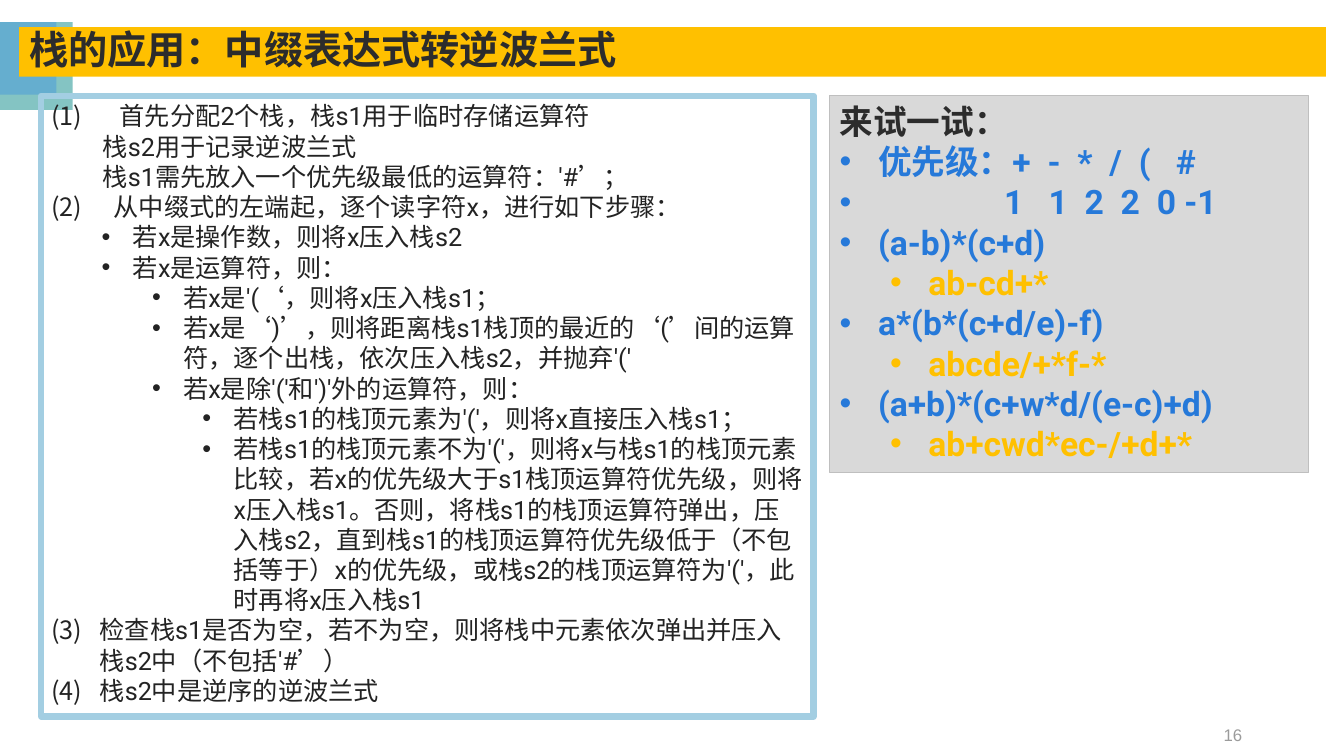
from dataclasses import dataclass

import lxml.etree
import pptx
import pptx.dml.color
import pptx.enum.shapes
import pptx.enum.text
import pptx.oxml.ns
import pptx.util

PX = 9144  # 100 px to the inch
INK, DARK, BLUE, GOLD = "232323", "2C2C2C", "2679D9", "FFC000"
SPACE_UNIT = 600  # width of one 24 pt space, in hundredths of a point
ALIGN = pptx.enum.text.PP_ALIGN
ANCHOR = pptx.enum.text.MSO_ANCHOR


@dataclass
class Panel:
    left: int
    top: int
    width: int
    height: int
    fill: str = ""
    line: str = ""
    line_width: float = 0


@dataclass
class Line:
    text: str
    level: int = 0
    margin: int = 0
    hanging: int = 0
    bullet: str = ""
    number: int = 0
    color: str = INK
    gaps: tuple[int, ...] = ()  # width of each space, in plain spaces


def rgb(color: str) -> pptx.dml.color.RGBColor:
    return pptx.dml.color.RGBColor.from_string(color)


def add_child(parent, tag: str, **attributes: str):
    child = lxml.etree.SubElement(parent, pptx.oxml.ns.qn(tag))
    for name, value in attributes.items():
        child.set(name, value)
    return child


def place(shape, panel: Panel) -> None:
    shape.left, shape.top = panel.left * PX, panel.top * PX
    shape.width, shape.height = panel.width * PX, panel.height * PX


def paint(shape, panel: Panel) -> None:
    if panel.fill:
        shape.fill.solid()
        shape.fill.fore_color.rgb = rgb(panel.fill)
    else:
        shape.fill.background()
    if panel.line:
        shape.line.color.rgb = rgb(panel.line)
        shape.line.width = pptx.util.Pt(panel.line_width)
    else:
        shape.line.fill.background()


def add_panel(page, panel: Panel):
    box = page.shapes.add_shape(pptx.enum.shapes.MSO_SHAPE.RECTANGLE, 0, 0, 0, 0)
    place(box, panel)
    paint(box, panel)
    box.shadow.inherit = False
    return box


def style(span, font: str, size: int, color: str, bold: bool = False,
          outlined: bool = False) -> None:
    span.font.name, span.font.size = font, pptx.util.Pt(size)
    span.font.bold = bold
    span.font.color.rgb = rgb(color)
    properties = span.font._element
    properties.set("lang", "zh-CN")
    if outlined:
        outline = add_child(properties, "a:ln", w="9525")
        add_child(add_child(outline, "a:solidFill"), "a:srgbClr", val=color)
        properties.insert(0, outline)


def format_indent(para, line: Line) -> None:
    para.alignment = ALIGN.LEFT
    para.level = line.level
    properties = para._p.get_or_add_pPr()
    properties.set("marL", str(line.margin * PX))
    properties.set("indent", str(-line.hanging * PX))
    if line.number:
        add_child(properties, "a:buFont", typeface="Roboto")
        add_child(properties, "a:buAutoNum", type="arabicParenBoth",
                  startAt=str(line.number))
    elif line.bullet:
        add_child(properties, "a:buFont", typeface="Arial")
        add_child(properties, "a:buChar", char=line.bullet)
    else:
        add_child(properties, "a:buNone")


def write_lines(box, lines: list[Line], size: int, strong: bool = False) -> None:
    frame = box.text_frame
    frame.word_wrap = True
    frame.auto_size = pptx.enum.text.MSO_AUTO_SIZE.SHAPE_TO_FIT_TEXT
    frame.vertical_anchor = ANCHOR.TOP
    for index, line in enumerate(lines):
        para = frame.add_paragraph() if index else frame.paragraphs[0]
        format_indent(para, line)
        if line.gaps:
            words = line.text.split(" ")
            para.add_run().text = words[0]
            for word, gap in zip(words[1:], line.gaps):
                space = para.add_run()
                space.text = " "
                space.font._element.set("spc", str(SPACE_UNIT * (gap - 1)))
                para.add_run().text = word
        else:
            para.text = line.text
        for span in para.runs:
            style(span, "Roboto", size, line.color, strong, strong)


def step(text: str, number: int, margin: int) -> Line:
    return Line(text, margin=margin, hanging=margin, number=number)


def rule(text: str, level: int) -> Line:
    return Line(text, level, 31 + 50 * level, 31, "•")


def task(text: str, gaps: tuple[int, ...] = (), margin: int = 38) -> Line:
    return Line(text, 0, margin, margin, "•", color=BLUE, gaps=gaps)


def answer(text: str) -> Line:
    return Line(text, 1, 88, 38, "•", color=GOLD)


CORNER = [Panel(0, 22, 72, 87, "84C4C3"), Panel(0, 22, 56, 72, "65AECF")]
TITLE = Panel(19, 27, 1296, 49, GOLD)
ALGORITHM = Panel(41, 95, 766, 616, line="A3CEE2", line_width=4.5)
PRACTICE = Panel(823, 95, 475, 374, "D9D9D9", "BFBFBF", 0.75)
PAGE_NUMBER = Panel(942, 709, 300, 40)

ALGORITHM_LINES = [
    step("首先分配2个栈，栈s1用于临时存储运算符", 1, 68),
    Line("栈s2用于记录逆波兰式", margin=51),
    Line("栈s1需先放入一个优先级最低的运算符：'#’；", margin=51),
    step("从中缀式的左端起，逐个读字符x，进行如下步骤：", 2, 62),
    rule("若x是操作数，则将x压入栈s2", 1),
    rule("若x是运算符，则：", 1),
    rule("若x是'(‘，则将x压入栈s1；", 2),
    rule("若x是‘)’，则将距离栈s1栈顶的最近的‘(’间的运算符，逐个出栈，"
         "依次压入栈s2，并抛弃'('", 2),
    rule("若x是除'('和')'外的运算符，则：", 2),
    rule("若栈s1的栈顶元素为'('，则将x直接压入栈s1；", 3),
    rule("若栈s1的栈顶元素不为'('，则将x与栈s1的栈顶元素比较，"
         "若x的优先级大于s1栈顶运算符优先级，则将x压入栈s1。"
         "否则，将栈s1的栈顶运算符弹出，压入栈s2，"
         "直到栈s1的栈顶运算符优先级低于（不包括等于）x的优先级，"
         "或栈s2的栈顶运算符为'('，此时再将x压入栈s1", 3),
    step("检查栈s1是否为空，若不为空，则将栈中元素依次弹出并压入栈s2中（不包括'#’）", 3, 48),
    step("栈s2中是逆序的逆波兰式", 3, 48),
]
PRACTICE_LINES = [
    Line("来试一试：", color=DARK),
    task("优先级：+ - * / ( #", (2, 2, 2, 2, 3)),
    task("1 1 2 2 0 -1", (3, 2, 2, 2, 1), 163),
    task("(a-b)*(c+d)"),
    answer("ab-cd+*"),
    task("a*(b*(c+d/e)-f)"),
    answer("abcde/+*f-*"),
    task("(a+b)*(c+w*d/(e-c)+d)"),
    answer("ab+cwd*ec-/+d+*"),
]


def main() -> None:
    deck = pptx.Presentation()
    deck.slide_width, deck.slide_height = 1333 * PX, 750 * PX
    page = deck.slides.add_slide(deck.slide_layouts[5])

    # Corner decoration and page number
    for square in CORNER:
        add_panel(page, square)
    number = page.shapes.add_textbox(0, 0, 0, 0)
    place(number, PAGE_NUMBER)
    number.text_frame.word_wrap = True
    number.text_frame.text = "16"
    number.text_frame.vertical_anchor = ANCHOR.MIDDLE
    number.text_frame.paragraphs[0].alignment = ALIGN.RIGHT
    style(number.text_frame.paragraphs[0].runs[0], "Arial", 12, "9B9B9B")

    # Algorithm steps and exercises
    write_lines(add_panel(page, ALGORITHM), ALGORITHM_LINES, 18)
    write_lines(add_panel(page, PRACTICE), PRACTICE_LINES, 24, strong=True)

    # Title bar, in front of the corner squares
    title = page.shapes.title
    place(title, TITLE)
    paint(title, TITLE)
    title.text_frame.text = "栈的应用：中缀表达式转逆波兰式"
    title.text_frame.vertical_anchor = ANCHOR.MIDDLE
    title.text_frame.auto_size = pptx.enum.text.MSO_AUTO_SIZE.NONE
    heading = title.text_frame.paragraphs[0]
    heading.alignment, heading.line_spacing = ALIGN.LEFT, 0.9
    style(heading.runs[0], "Arial", 28, DARK, bold=True)
    title.element.getparent().append(title.element)

    deck.save("out.pptx")


if __name__ == "__main__":
    main()
